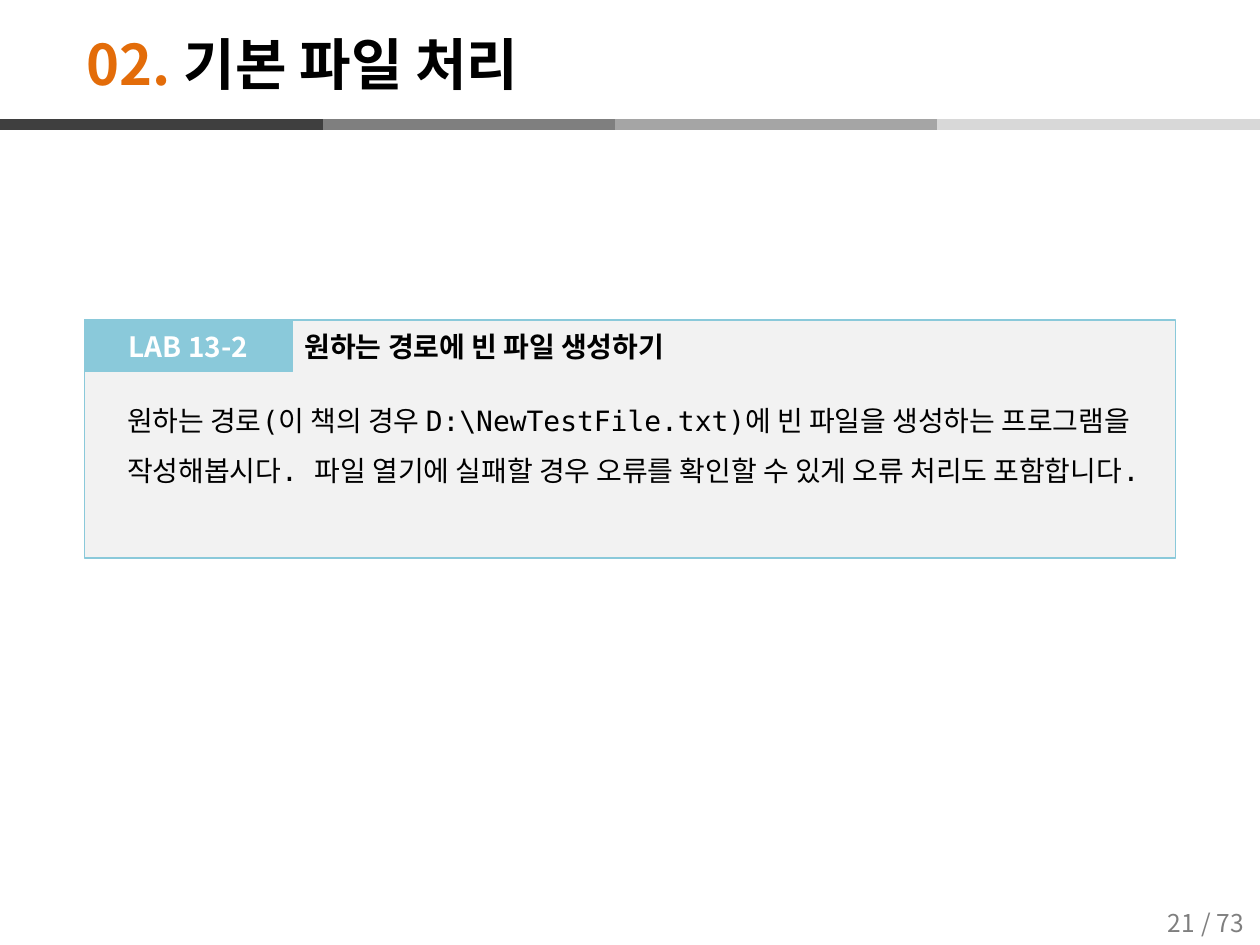
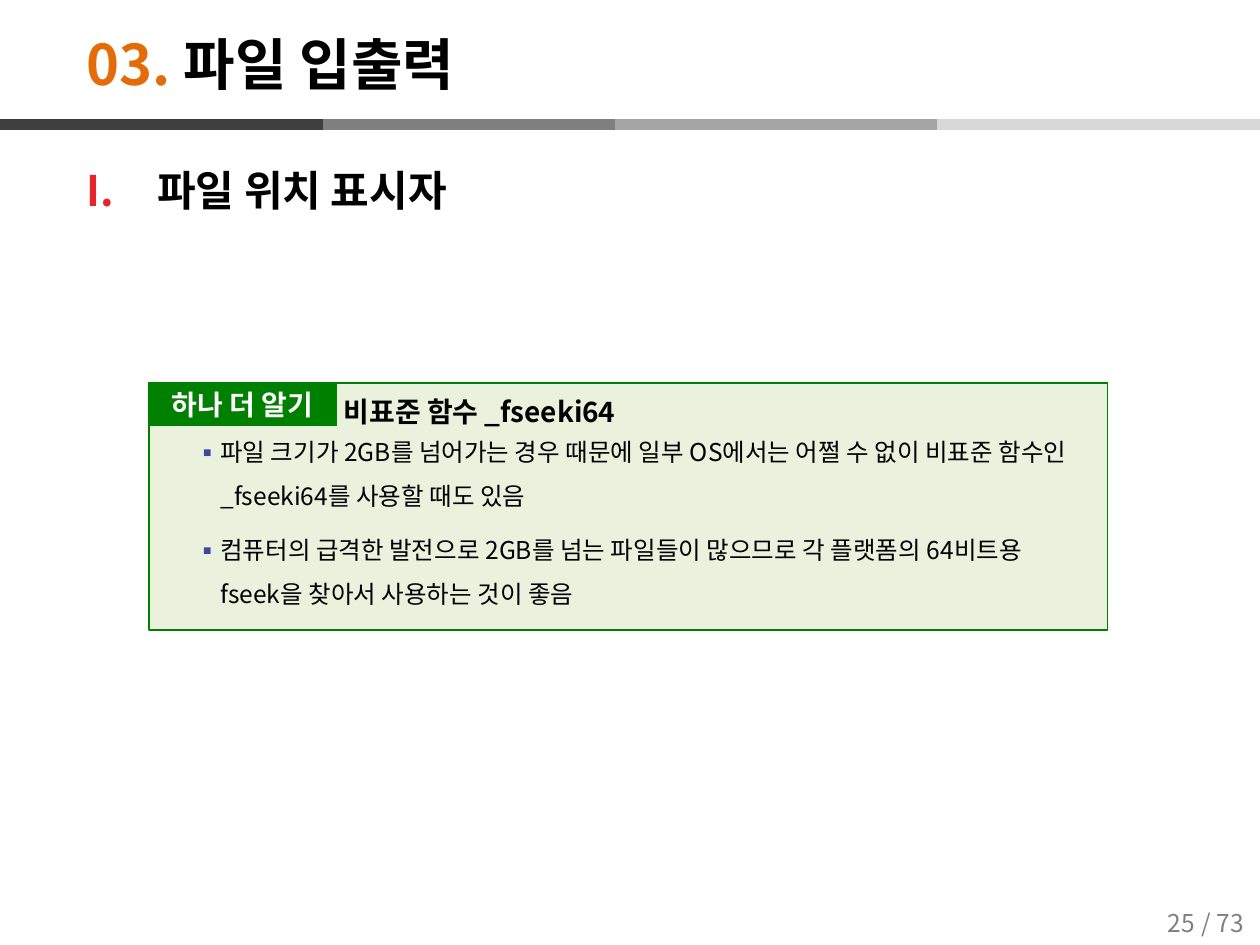
from pptx import Presentation
from pptx.dml.color import RGBColor
from pptx.enum.shapes import MSO_CONNECTOR, MSO_SHAPE
from pptx.enum.text import MSO_ANCHOR, PP_ALIGN
from pptx.oxml.ns import qn
from pptx.util import Inches, Pt
from lxml import etree

LINE, RECT = MSO_CONNECTOR.STRAIGHT, MSO_SHAPE.RECTANGLE
TOP, MIDDLE = MSO_ANCHOR.TOP, MSO_ANCHOR.MIDDLE
LEFT, CENTER = PP_ALIGN.LEFT, PP_ALIGN.CENTER

SANS, ARIAL, MONO = "Noto Sans CJK KR", "Arial", "DejaVu Sans Mono"
COLORS = {
    "text": "000000", "white": "FFFFFF", "number": "E36C09", "page": "7F7F7F",
    "roman": "E5242C", "bullet": "3C479D",
    "lab": "8AC9DA", "lab_body": "F2F2F2",
    "more": "008000", "more_body": "EAF1DD",
}
BAND_COLORS = ["3F3F3F", "7F7F7F", "A5A5A5", "D8D8D8"]

SLIDE_W, SLIDE_H = 10, 7.5
BAND_Y, BAND_LENGTH = 0.99, 2.56
PAGE_W, PAGE_TOTAL = 0.59, 73

SLIDES = [
    {
        "number": "02.", "title": "기본 파일 처리", "page": 21,
        "card": {
            "box": (0.67, 2.54, 8.66, 1.89), "color": "lab", "fill": "lab_body",
            "tag": "LAB 13-2", "tag_size": (1.65, 0.41),
            "heading": "원하는 경로에 빈 파일 생성하기", "heading_font": ARIAL,
            "heading_box": (2.32, 2.56, 6.96, 0.37), "heading_spacing": 1,
            "body_box": (0.91, 3.02, 8.19, 1.27),
            "body_font": MONO, "body_size": 16, "bulleted": False,
            "body": [
                "원하는 경로(이 책의 경우 D:\\NewTestFile.txt)에 빈 파일을 생성하는 "
                "프로그램을 작성해봅시다. 파일 열기에 실패할 경우 오류를 확인할 수 있게 "
                "오류 처리도 포함합니다.",
            ],
        },
    },
    {
        "number": "03.", "title": "파일 입출력", "page": 25,
        "section": "파일 위치 표시자",
        "card": {
            "box": (1.18, 3.04, 7.61, 1.96), "color": "more", "fill": "more_body",
            "tag": "하나 더 알기", "tag_size": (1.49, 0.34),
            "heading": "비표준 함수 _fseeki64", "heading_font": SANS,
            "heading_box": (2.63, 2.99, 4.62, 0.42), "heading_spacing": 1.5,
            "body_box": (1.16, 3.3, 7.49, 0.9),
            "body_font": SANS, "body_size": 14, "bulleted": True,
            "body": [
                "파일 크기가 2GB를 넘어가는 경우 때문에 일부 OS에서는 어쩔 수 없이 "
                "비표준 함수인 _fseeki64를 사용할 때도 있음",
                "컴퓨터의 급격한 발전으로 2GB를 넘는 파일들이 많으므로 각 플랫폼의 "
                "64비트용 fseek을 찾아서 사용하는 것이 좋음",
            ],
        },
    },
]


def rgb(name):
    return RGBColor.from_string(COLORS.get(name, name))


def add_run(paragraph, text, size, color="text", bold=False, font=SANS):
    run = paragraph.add_run()
    run.text = text
    run.font.name = font
    run.font.size = Pt(size)
    run.font.bold = bold
    run.font.color.rgb = rgb(color)
    east_asian = etree.SubElement(run.font._element, qn("a:ea"))
    east_asian.set("typeface", SANS)


def add_bullet(paragraph, color, indent, hang, char=None):
    """Hang a bullet character, or a roman numeral when char is None."""
    properties = paragraph._p.get_or_add_pPr()
    properties.set("marL", str(Inches(indent)))
    properties.set("indent", str(-Inches(hang)))
    bullet_color = etree.SubElement(properties, qn("a:buClr"))
    etree.SubElement(bullet_color, qn("a:srgbClr")).set("val", COLORS[color])
    etree.SubElement(properties, qn("a:buFont")).set("typeface", SANS)
    if char:
        etree.SubElement(properties, qn("a:buChar")).set("char", char)
    else:
        etree.SubElement(properties, qn("a:buAutoNum")).set("type", "romanUcPeriod")


def add_text_frame(slide, box, anchor=TOP):
    frame = slide.shapes.add_textbox(*map(Inches, box)).text_frame
    frame.word_wrap = True
    frame.vertical_anchor = anchor
    return frame


def add_rectangle(slide, box, fill, line, width):
    rectangle = slide.shapes.add_shape(RECT, *map(Inches, box))
    rectangle.shadow.inherit = False
    rectangle.fill.solid()
    rectangle.fill.fore_color.rgb = rgb(fill)
    rectangle.line.color.rgb = rgb(line)
    rectangle.line.width = Pt(width)
    return rectangle


def add_band(slide):
    """Draw the four greys from right to left, the darkest on top."""
    for place, color in reversed(list(enumerate(BAND_COLORS))):
        start = max(0, SLIDE_W - BAND_LENGTH * (len(BAND_COLORS) - place))
        segment = slide.shapes.add_connector(
            LINE, Inches(start), Inches(BAND_Y),
            Inches(start + BAND_LENGTH), Inches(BAND_Y))
        segment.line.color.rgb = rgb(color)
        segment.line.width = Pt(6)
        etree.SubElement(segment._element.spPr, qn("a:effectLst"))


def add_page_number(slide, page):
    for left, text in ((9.08, str(page)), (SLIDE_W - PAGE_W, f"/ {PAGE_TOTAL}")):
        frame = add_text_frame(slide, (left, 7.14, PAGE_W, 0.36), MIDDLE)
        frame.paragraphs[0].alignment = CENTER
        add_run(frame.paragraphs[0], text, 14, "page")


def add_title(slide, number, title):
    paragraph = add_text_frame(slide, (0.59, 0.2, 8.74, 0.6), MIDDLE).paragraphs[0]
    add_run(paragraph, number + " ", 32, "number", True)
    add_run(paragraph, title, 32, bold=True)


def add_section(slide, section):
    paragraph = add_text_frame(slide, (0.59, 1.1, 9.21, 0.8)).paragraphs[0]
    paragraph.line_spacing = 1.4
    add_bullet(paragraph, "roman", 0.56, 0.56)
    add_run(paragraph, section, 24, bold=True)


def add_card(slide, card):
    """Draw a framed box with a tag in its corner, a heading and body text."""
    add_rectangle(slide, card["box"], card["fill"], card["color"], 1)

    body = add_text_frame(slide, card["body_box"])
    for place, text in enumerate(card["body"]):
        paragraph = body.add_paragraph() if place else body.paragraphs[0]
        paragraph.line_spacing = 1.5
        if place:
            paragraph.space_before = Pt(6)
        if card["bulleted"]:
            add_bullet(paragraph, "bullet", 0.49, 0.2, "▪")
        add_run(paragraph, text, card["body_size"], font=card["body_font"])

    tag = add_rectangle(slide, card["box"][:2] + card["tag_size"],
                        card["color"], card["color"], 0.75)
    tag.text_frame.vertical_anchor = MIDDLE
    tag.text_frame.paragraphs[0].alignment = CENTER
    add_run(tag.text_frame.paragraphs[0], card["tag"], 16, "white", True)

    heading = add_text_frame(slide, card["heading_box"], MIDDLE).paragraphs[0]
    heading.alignment = LEFT
    heading.line_spacing = card["heading_spacing"]
    add_run(heading, card["heading"], 16, bold=True, font=card["heading_font"])


def main():
    deck = Presentation()
    deck.slide_width, deck.slide_height = Inches(SLIDE_W), Inches(SLIDE_H)
    blank = deck.slide_layouts[6]
    for content in SLIDES:
        slide = deck.slides.add_slide(blank)
        add_band(slide)
        add_page_number(slide, content["page"])
        add_title(slide, content["number"], content["title"])
        if "section" in content:
            add_section(slide, content["section"])
        add_card(slide, content["card"])
    deck.save("out.pptx")


if __name__ == "__main__":
    main()
